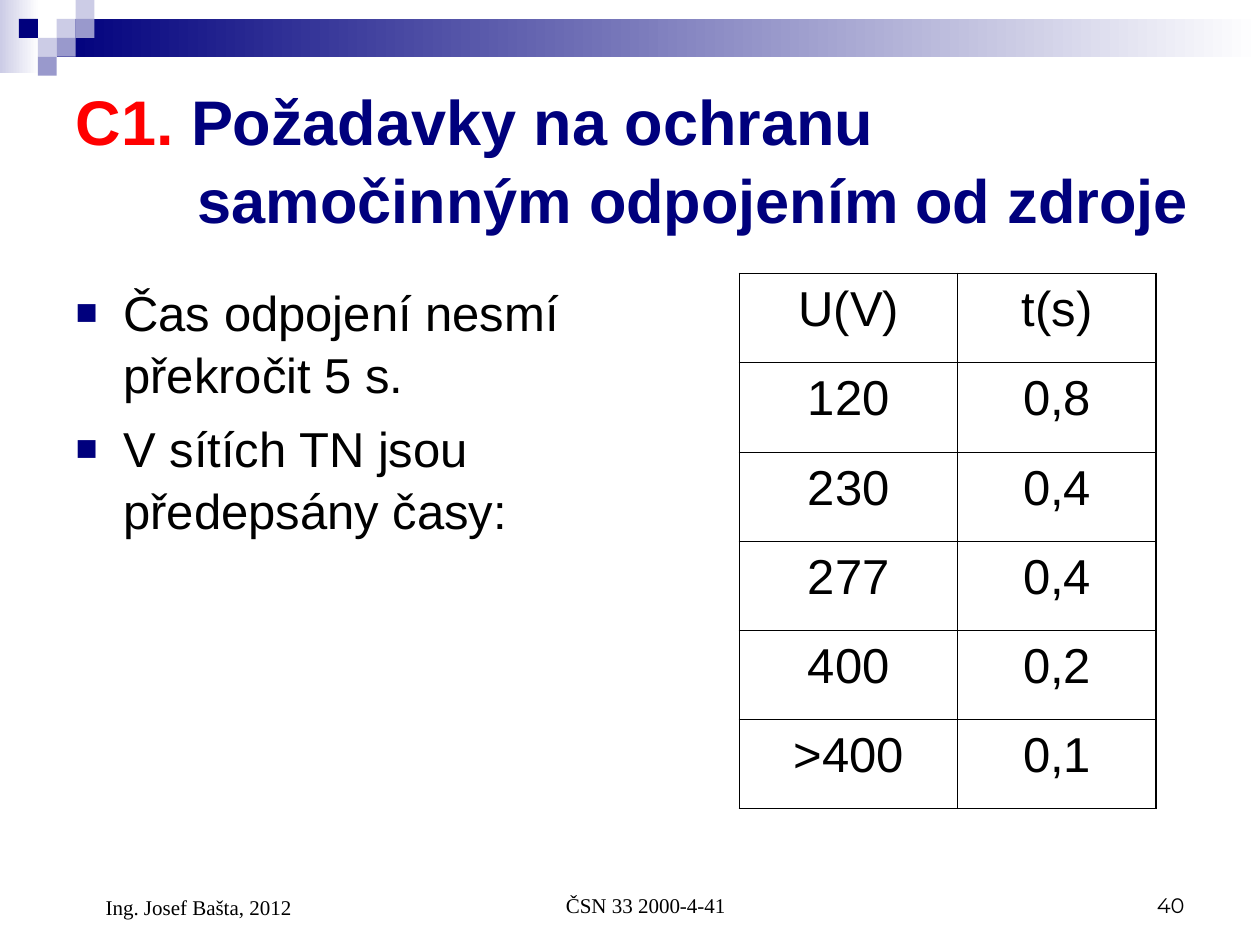
from lxml.etree import SubElement
from pptx import Presentation
from pptx.dml.color import RGBColor
from pptx.enum.shapes import MSO_SHAPE
from pptx.enum.text import MSO_ANCHOR, MSO_AUTO_SIZE, PP_ALIGN
from pptx.oxml.ns import qn
from pptx.util import Inches, Pt

COLORS = {"navy": "00007D", "mid": "9999CC", "pale": "CCCCE6",
          "red": "FF0000", "black": "000000", "white": "FFFFFF"}
GRID = 0.15


def unit(n):
    return Inches(n * GRID)


def rgb(name):
    return RGBColor.from_string(COLORS[name])


def assign(target, values):
    for name, value in values.items():
        setattr(target, name, value)


class Deck:
    body = {"name": "Arial", "size": Pt(28)}
    title = {"name": "Arial", "size": Pt(36), "bold": True}
    footer = {"name": "Times New Roman", "size": Pt(12)}
    number = {"name": "Montserrat", "size": Pt(12)}
    frame = {"word_wrap": True, "auto_size": MSO_AUTO_SIZE.NONE,
             "margin_left": Inches(0.1), "margin_right": Inches(0.1),
             "margin_top": Inches(0.05), "margin_bottom": Inches(0.05)}
    outer, inner = Pt(1.08), Pt(0.45)

    def __init__(self, prs):
        self.s = prs.slides.add_slide(prs.slide_layouts[1])

    def place(self, sp, box):
        assign(sp, dict(zip(("left", "top", "width", "height"), map(unit, box))))

    def rect(self, box, *colors):
        sp = self.s.shapes.add_shape(MSO_SHAPE.RECTANGLE, *map(unit, box))
        sp.shadow.inherit = False
        sp.line.fill.background()
        if len(colors) == 1:
            sp.fill.solid()
            sp.fill.fore_color.rgb = rgb(colors[0])
            return
        sp.fill.gradient()
        sp.fill.gradient_angle = 180
        for stop, color in zip(sp.fill.gradient_stops, colors):
            stop.color.rgb = rgb(color)

    def run(self, p, text, font, color="black"):
        r = p.add_run()
        r.text = text
        assign(r.font, font)
        r.font.color.rgb = rgb(color)

    def indent(self, p, left, first=0):
        pPr = p._p.get_or_add_pPr()
        pPr.set("marL", str(Inches(left)))
        pPr.set("indent", str(Inches(first)))
        return pPr

    def heading(self, box, lines):
        sp = self.s.shapes.title
        self.place(sp, box)
        tf = sp.text_frame
        assign(tf, {**self.frame, "vertical_anchor": MSO_ANCHOR.MIDDLE})
        p = tf.paragraphs[0]
        self.indent(p, 0.97, -0.97)
        assign(p, {"alignment": PP_ALIGN.LEFT, "line_spacing": 1.05})
        for i, runs in enumerate(lines):
            if i:
                p.add_line_break()
            for text, size, color in runs:
                self.run(p, text, {**self.title, "size": Pt(size)}, color)

    def bullets(self, box, items):
        sp = self.s.placeholders[1]
        self.place(sp, box)
        tf = sp.text_frame
        assign(tf, {**self.frame, "vertical_anchor": MSO_ANCHOR.TOP})
        for i, text in enumerate(items):
            p = tf.add_paragraph() if i else tf.paragraphs[0]
            pPr = self.indent(p, 0.38, -0.38)
            SubElement(SubElement(pPr, qn("a:buClr")), qn("a:srgbClr"), val=COLORS["navy"])
            SubElement(pPr, qn("a:buSzPct"), val="75000")
            SubElement(pPr, qn("a:buFont"), typeface="Arial")
            SubElement(pPr, qn("a:buChar"), char="■")
            assign(p, {"alignment": PP_ALIGN.LEFT, "line_spacing": 1.05,
                       "space_before": Pt(7 if i else 0)})
            self.run(p, text, self.body)

    def label(self, box, text, font, align, left=0):
        tf = self.s.shapes.add_textbox(*map(unit, box)).text_frame
        assign(tf, {**self.frame, "vertical_anchor": MSO_ANCHOR.BOTTOM})
        p = tf.paragraphs[0]
        self.indent(p, left)
        p.alignment = align
        self.run(p, text, font)

    def borders(self, cell, thick):
        tcPr = cell._tc.get_or_add_tcPr()
        for side, is_outer in thick.items():
            ln = SubElement(tcPr, qn(f"a:ln{side}"), w=str(self.outer if is_outer else self.inner))
            SubElement(SubElement(ln, qn("a:solidFill")), qn("a:srgbClr"), val=COLORS["black"])

    def table(self, box, widths, rows):
        last_row, last_col = len(rows) - 1, len(widths) - 1
        t = self.s.shapes.add_table(len(rows), len(widths), *map(unit, box)).table
        assign(t, {"first_row": False, "horz_banding": False})
        for col, width in zip(t.columns, widths):
            col.width = unit(width)
        for i, row in enumerate(rows):
            for j, text in enumerate(row):
                cell = t.cell(i, j)
                self.borders(cell, {"L": j == 0, "R": j == last_col,
                                    "T": i == 0, "B": i == last_row})
                cell.fill.background()
                p = cell.text_frame.paragraphs[0]
                assign(p, {"alignment": PP_ALIGN.CENTER, "line_spacing": 1.05})
                self.run(p, text, self.body)


def main():
    prs = Presentation()
    assign(prs, {"slide_width": Inches(10), "slide_height": Inches(7.5)})
    deck = Deck(prs)

    deck.rect((0, 0, 2.07, 3.87), "white", "pale")
    deck.rect((3, 1, 63.67, 2), "white", "navy")
    squares = {"pale": [(3, 1), (4, 0), (2, 2)],
               "mid": [(4, 1), (3, 2), (2, 3)],
               "navy": [(1, 1)]}
    for color, cells in squares.items():
        for col, row in cells:
            deck.rect((col, row, 1, 1), color)

    deck.heading((3.33, 3.33, 61.53, 10), [
        [("C1.", 36, "red"), (" Požadavky na ochranu", 36, "navy")],
        [("samočinným odpojením od zdroje", 35, "navy")]])
    deck.bullets((3.33, 14.47, 29.47, 28.33), [
        "Čas odpojení nesmí překročit 5 s.",
        "V sítích TN jsou předepsány časy:"])
    deck.table((39.13, 14.47, 22.07, 28.33), (11.55, 10.5), [
        ("U(V)", "t(s)"), ("120", "0,8"), ("230", "0,4"),
        ("277", "0,4"), ("400", "0,2"), (">400", "0,1")])

    deck.label((22.8, 45.53, 21.13, 3.33), "ČSN 33 2000-4-41",
               deck.footer, PP_ALIGN.CENTER, 0.24)
    deck.label((47.8, 45.53, 15.53, 3.33), "40", deck.number, PP_ALIGN.RIGHT)
    deck.label((3.33, 45.53, 15.53, 3.47), "Ing. Josef Bašta, 2012",
               deck.footer, PP_ALIGN.LEFT, 0.24)
    prs.save("out.pptx")


if __name__ == "__main__":
    main()
